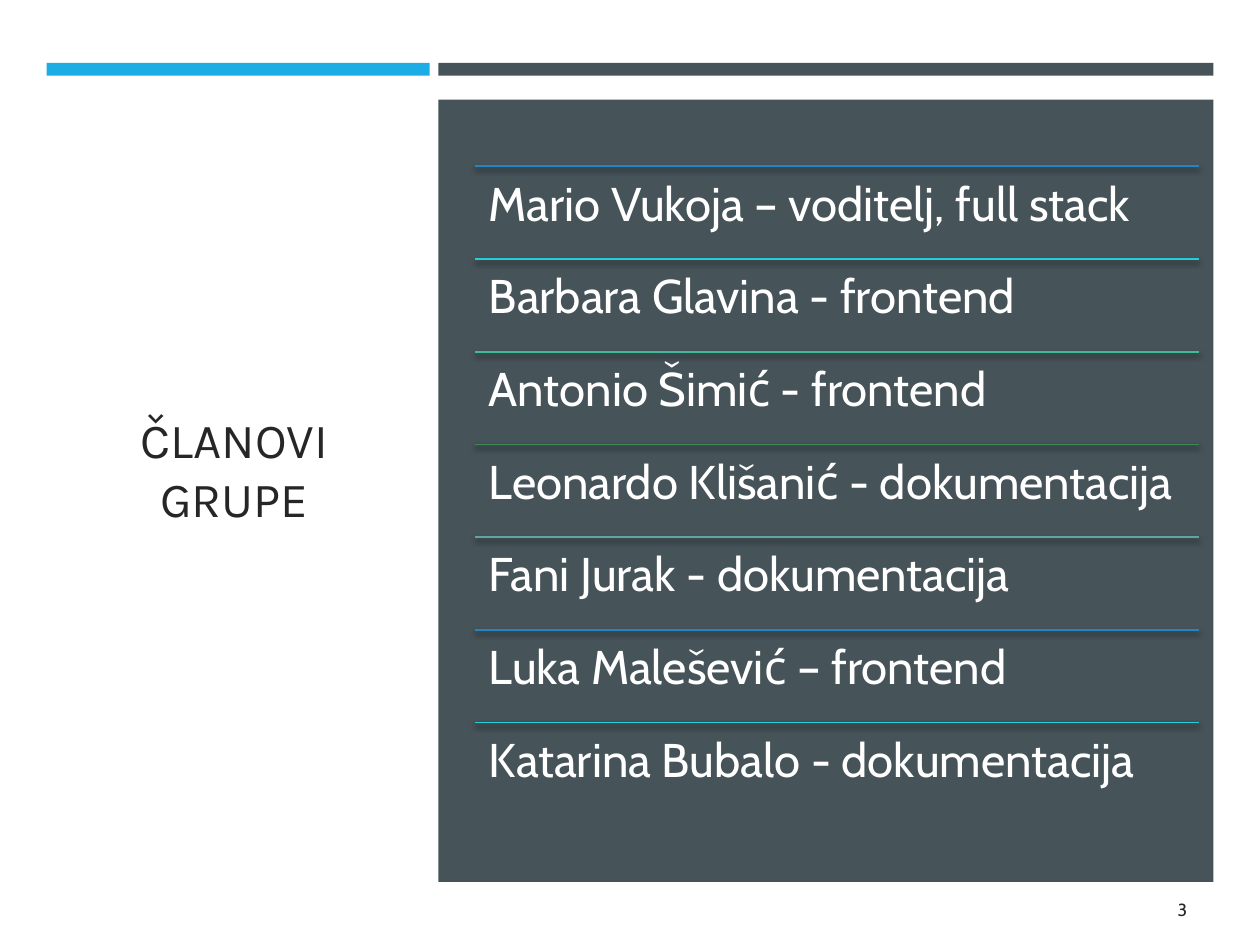
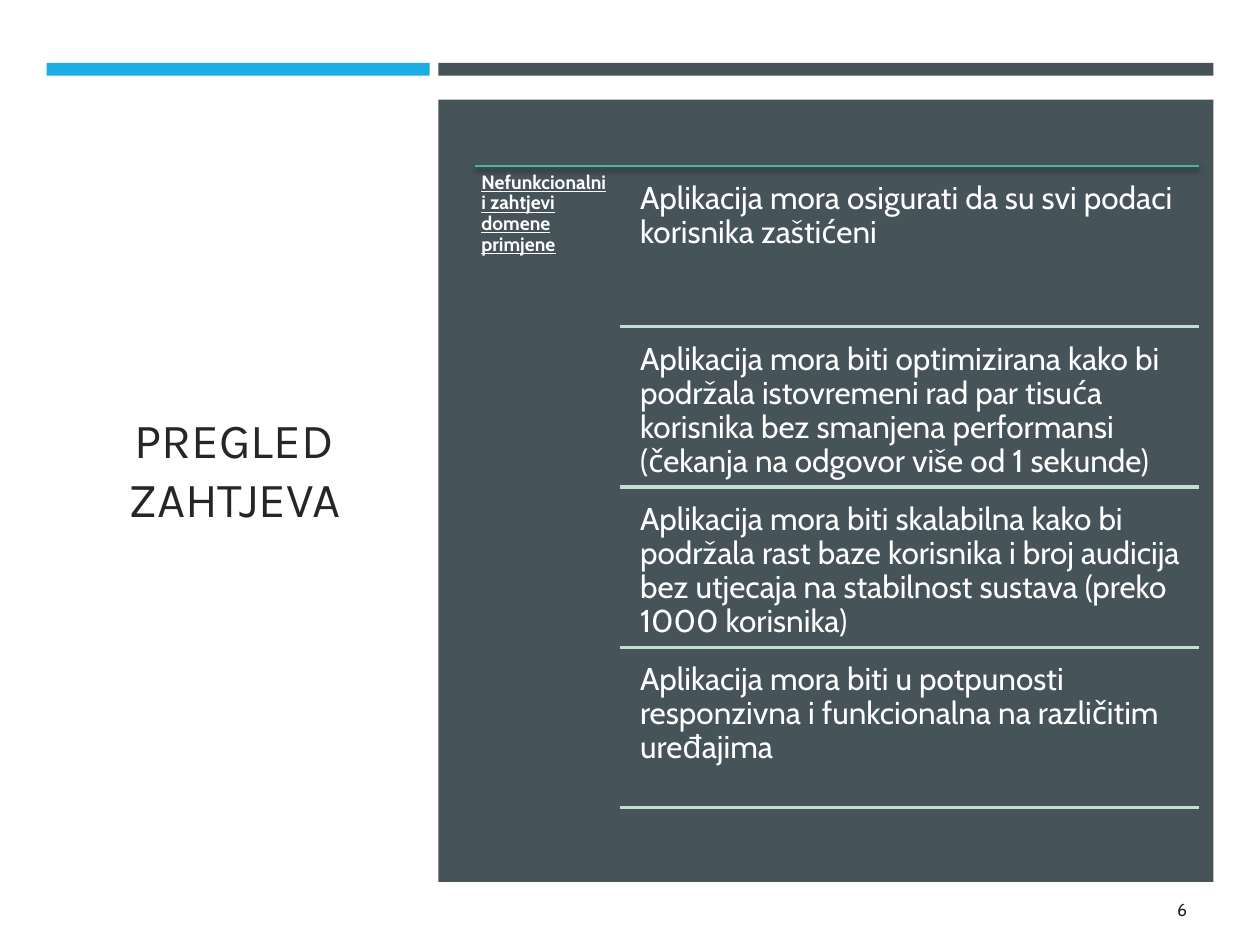
import pptx
import pptx.dml.color
import pptx.enum.shapes
import pptx.enum.text
import pptx.oxml
import pptx.oxml.ns
import pptx.util

COLORS = {
    "paper": "FFFFFF", "ink": "262626", "accent": "1CADE4", "slate": "465359",
    "blue": "2683C6", "cyan": "27CED7", "green": "42BA97", "forest": "3E8853",
    "sage": "62A39F", "mint": "C0E0D3",
}
ALIGN = pptx.enum.text.PP_ALIGN
ANCHOR = pptx.enum.text.MSO_ANCHOR

deck = pptx.Presentation()
deck.slide_width = pptx.util.Inches(10)
deck.slide_height = pptx.util.Inches(7.5)
COL = deck.slide_width / 100
ROW = deck.slide_height / 75

LIST_LEFT, LIST_RIGHT = 37.7, 95.2
LIST_TOP, LIST_HEIGHT = 13.2, 51.5
LIST_WIDTH = LIST_RIGHT - LIST_LEFT


def add_text(slide, box, words, font, size, color, inset=None,
             align=ALIGN.LEFT, anchor=ANCHOR.TOP, spacing=0.9):
    left, top, width, height = box
    label = slide.shapes.add_textbox(
        round(left * COL), round(top * ROW), round(width * COL), round(height * ROW))
    frame = label.text_frame
    frame.word_wrap = True
    frame.vertical_anchor = anchor
    if inset is not None:
        frame.margin_left = frame.margin_right = round(inset * COL)
        frame.margin_top = frame.margin_bottom = round(inset * ROW)
    paragraph = frame.paragraphs[0]
    paragraph.text = words
    paragraph.alignment = align
    paragraph.line_spacing = spacing
    paragraph.font.name = font
    paragraph.font.size = pptx.util.Pt(size)
    paragraph.font.color.rgb = pptx.dml.color.RGBColor.from_string(COLORS[color])
    return paragraph


def add_rule(slide, left, top, color, weight, shadow):
    rule = slide.shapes.add_connector(
        pptx.enum.shapes.MSO_CONNECTOR.STRAIGHT,
        round(left * COL), round(top * ROW), round(LIST_RIGHT * COL), round(top * ROW))
    rule.line.color.rgb = pptx.dml.color.RGBColor.from_string(COLORS[color])
    rule.line.width = pptx.util.Pt(weight)
    shade = (
        '<a:outerShdw blurRad="38100" dist="25400" dir="5400000" rotWithShape="0">'
        '<a:srgbClr val="000000"><a:alpha val="55000"/></a:srgbClr></a:outerShdw>'
    ) if shadow else ""
    rule._element.spPr.append(pptx.oxml.parse_xml(
        f'<a:effectLst {pptx.oxml.ns.nsdecls("a")}>{shade}</a:effectLst>'))


bands = [
    (3.7, 5, 30.4, 1, "accent"),
    (34.8, 5, 61.5, 1, "slate"),
    (34.8, 7.9, 61.5, 62.1, "slate"),
]
pages = []
for heading, number in [("ČLANOVI GRUPE", "3"), ("PREGLED ZAHTJEVA", "6")]:
    page = deck.slides.add_slide(deck.slide_layouts[6])
    page.background.fill.solid()
    page.background.fill.fore_color.rgb = pptx.dml.color.RGBColor.from_string(COLORS["paper"])
    add_text(page, (6.1, 11.4, 25, 51.5), heading, "Karla", 28, "ink",
             align=ALIGN.CENTER, anchor=ANCHOR.MIDDLE, spacing=1.0)
    for left, top, width, height, color in bands:
        band = page.shapes.add_shape(
            pptx.enum.shapes.MSO_SHAPE.RECTANGLE,
            round(left * COL), round(top * ROW), round(width * COL), round(height * ROW))
        band.shadow.inherit = False
        band.fill.solid()
        band.fill.fore_color.rgb = pptx.dml.color.RGBColor.from_string(COLORS[color])
        band.line.fill.background()
    add_text(page, (86.6, 70.2, 8.6, 4), number, "Cabin", 10, "ink",
             align=ALIGN.RIGHT, anchor=ANCHOR.MIDDLE, spacing=1.0)
    pages.append(page)

team_page, requirements_page = pages

members = [
    ("Mario Vukoja – voditelj, full stack", "blue"),
    ("Barbara Glavina - frontend", "cyan"),
    ("Antonio Šimić - frontend", "green"),
    ("Leonardo Klišanić - dokumentacija", "forest"),
    ("Fani Jurak - dokumentacija", "sage"),
    ("Luka Malešević – frontend", "blue"),
    ("Katarina Bubalo - dokumentacija", "cyan"),
]
member_height = LIST_HEIGHT / len(members)
for index, (member, color) in enumerate(members):
    top = LIST_TOP + index * member_height
    add_rule(team_page, LIST_LEFT, top, color, 1, True)
    add_text(team_page, (LIST_LEFT, top, LIST_WIDTH, member_height),
             member, "Cabin", 27, "paper", inset=1.1)

requirements = [
    "Aplikacija mora osigurati da su svi podaci korisnika zaštićeni",
    "Aplikacija mora biti optimizirana kako bi podržala istovremeni rad par tisuća "
    "korisnika bez smanjena performansi (čekanja na odgovor više od 1 sekunde)",
    "Aplikacija mora biti skalabilna kako bi podržala rast baze korisnika i broj audicija "
    "bez utjecaja na stabilnost sustava (preko 1000 korisnika)",
    "Aplikacija mora biti u potpunosti responzivna i funkcionalna na različitim uređajima",
]
category_width = LIST_WIDTH / 5
requirement_gap = 0.6
requirement_pitch = (LIST_HEIGHT - requirement_gap) / len(requirements)
requirement_left = LIST_LEFT + category_width
add_rule(requirements_page, LIST_LEFT, LIST_TOP, "green", 1, True)
category = add_text(requirements_page, (LIST_LEFT, LIST_TOP, category_width, LIST_HEIGHT),
                    "Nefunkcionalni i zahtjevi domene primjene", "Cabin", 11, "paper", inset=0.5)
category.font.bold = True
category.font.underline = True
for index, requirement in enumerate(requirements):
    top = LIST_TOP + index * requirement_pitch
    add_text(requirements_page,
             (requirement_left + 0.9, top + requirement_gap, 45.2,
              requirement_pitch - requirement_gap),
             requirement, "Cabin", 18, "paper", inset=0.7)
    add_rule(requirements_page, requirement_left, top + requirement_pitch, "mint", 1.75, False)

deck.save("out.pptx")
